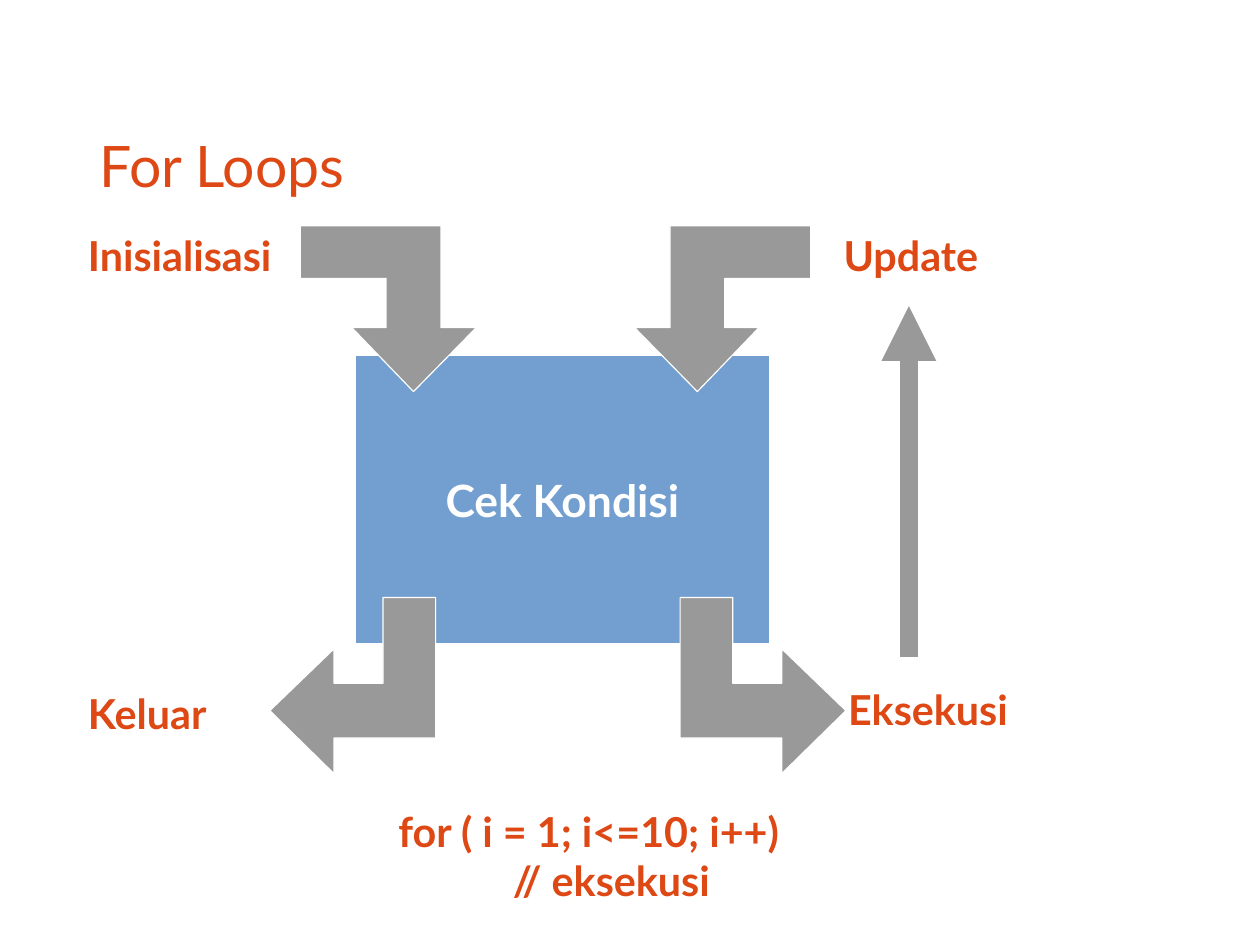
import pptx
import pptx.util
import pptx.dml.color
import pptx.enum.shapes
import pptx.enum.text
import pptx.oxml.ns
import lxml.etree

COLORS = {"accent": "DD4814", "box": "729FCF", "arrow": "999999", "white": "FFFFFF"}
FONT = "Lato"
WIDTH = pptx.util.Mm(280)
HEIGHT = pptx.util.Mm(210)
COLS, ROWS = 120, 90
ELBOW = [(6.1, 4.9), (6.1, 8.17), (10.78, 8.17), (10.78, 0), (15.79, 0),
         (15.79, 13.39), (6.1, 13.39), (6.1, 16.77), (0, 10.78)]


def col(n):
    return round(WIDTH * n / COLS)


def row(n):
    return round(HEIGHT * n / ROWS)


def area(x, y, w, h):
    return col(x), row(y), col(w), row(h)


def rgb(name):
    return pptx.dml.color.RGBColor.from_string(COLORS[name])


def paint(sp, fill):
    sp.shadow.inherit = False
    sp.fill.solid()
    sp.fill.fore_color.rgb = rgb(fill)
    sp.line.color.rgb = rgb("white")
    sp.line.width = 0


def write(sp, text, size=26, color="accent", bold=True, align="LEFT",
          anchor="TOP", wrap=True, margins=True, indents=()):
    tf = sp.text_frame
    tf.word_wrap = wrap
    tf.vertical_anchor = getattr(pptx.enum.text.MSO_ANCHOR, anchor)
    if not margins:
        tf.margin_left = tf.margin_right = tf.margin_top = tf.margin_bottom = 0
    for i, line in enumerate(text.split("\n")):
        p = tf.add_paragraph() if i else tf.paragraphs[0]
        p.alignment = getattr(pptx.enum.text.PP_ALIGN, align)
        if i < len(indents):
            p._p.get_or_add_pPr().set("marL", str(col(indents[i])))
        r = p.add_run()
        r.text = line
        r.font.name = FONT
        r.font.size = pptx.util.Pt(size)
        r.font.bold = bold
        r.font.color.rgb = rgb(color)


def add_text(s, text, x, y, w=24.83, h=6.42, **fmt):
    write(s.shapes.add_textbox(*area(x, y, w, h)), text, **fmt)


def add_box(s, text, x, y, w, h):
    sp = s.shapes.add_shape(pptx.enum.shapes.MSO_SHAPE.RECTANGLE, *area(x, y, w, h))
    paint(sp, "box")
    write(sp, text, size=28, color="white", align="CENTER", anchor="MIDDLE", wrap=False)


def add_elbow(s, x, y, side, down=False):
    if down:
        cells = [(x + side * v, y - u) for u, v in ELBOW]
    else:
        cells = [(x + side * u, y + v) for u, v in ELBOW]
    pts = [(col(u), row(v)) for u, v in cells]
    builder = s.shapes.build_freeform(*pts[0])
    builder.add_line_segments(pts[1:], close=True)
    paint(builder.convert_to_shape(), "arrow")


def add_arrow(s, x, start, end):
    line = s.shapes.add_connector(pptx.enum.shapes.MSO_CONNECTOR.STRAIGHT,
                                  col(x), row(start), col(x), row(end))
    line.line.color.rgb = rgb("arrow")
    line.line.width = pptx.util.Pt(11.5)
    qn = pptx.oxml.ns.qn
    ln = line.line._get_or_add_ln()
    lxml.etree.SubElement(ln, qn("a:tailEnd"), type="triangle")
    lxml.etree.SubElement(line._element.spPr, qn("a:effectLst"))


def main():
    prs = pptx.Presentation()
    prs.slide_width, prs.slide_height = WIDTH, HEIGHT
    s = prs.slides.add_slide(prs.slide_layouts[6])

    add_text(s, "For Loops", 9.45, 11.15, 100.7, 9.14, size=36, bold=False,
             anchor="MIDDLE", margins=False)
    add_box(s, "Cek Kondisi", 33.86, 33.86, 39.4, 27.43)

    add_elbow(s, 28.6, 37.3, 1, down=True)
    add_elbow(s, 25.7, 56.9, 1)
    add_elbow(s, 80.57, 56.9, -1)
    add_elbow(s, 77.2, 37.3, -1, down=True)

    for text, x, y in [("Inisialisasi", 7.3, 21.4), ("Update", 79.27, 21.4),
                       ("Keluar", 7.3, 65.05), ("Eksekusi", 79.7, 64.67)]:
        add_text(s, text, x, y)

    add_arrow(s, 86.56, 62.55, 29.15)
    add_text(s, "for ( i = 1; i<=10; i++)\n// eksekusi", 36.88, 76.25, 45.4, 11.87,
             indents=(0, 10.89))
    prs.save("out.pptx")


if __name__ == "__main__":
    main()
